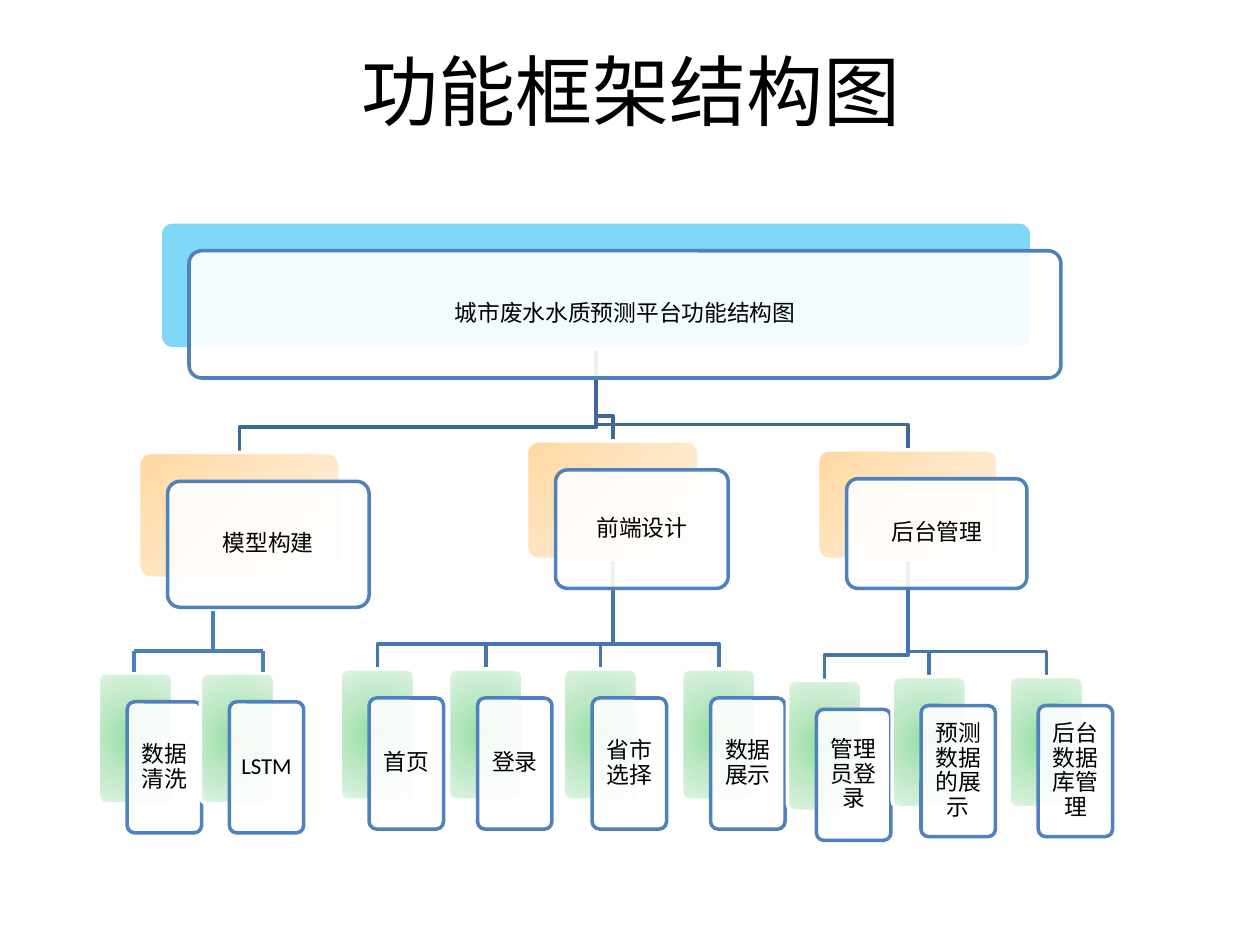
from lxml.etree import SubElement
from pptx import Presentation
from pptx.dml.color import RGBColor
from pptx.enum.shapes import MSO_CONNECTOR, MSO_SHAPE
from pptx.enum.text import MSO_ANCHOR, PP_ALIGN
from pptx.oxml import parse_xml
from pptx.oxml.ns import nsdecls, qn
from pptx.util import Inches, Pt

COLORS = {
    "text": "000000", "white": "FFFFFF", "root": "00B0F0", "border": "4F81BD",
    "root_link": "3F6797", "leaf_link": "4875AC", "model_link": "4B7EBC",
}
GRADIENTS = {
    "branch": (("FFD8A0", "FFE6C5", "FFF2E3"), '<a:lin ang="2700000" scaled="0"/>'),
    "leaf": (("91DEA0", "BDE8C5", "DFF3E3"),
             '<a:path path="circle"><a:fillToRect l="50000" t="50000" '
             'r="50000" b="50000"/></a:path>'),
}
SHIFT = 0.23
LEAF_W, LEAF_H = 0.59, 1.04
ROOT = ("城市废水水质预测平台功能结构图", (1.27, 1.76, 6.92, 1.01))
BRANCHES = [
    ("前端设计", (4.18, 3.5, 1.37, 0.94),
     [("首页", 2.7, 5.31), ("登录", 3.56, 5.31),
      ("省市选择", 4.47, 5.31), ("数据展示", 5.41, 5.31)]),
    ("模型构建", (1.1, 3.59, 1.6, 1.0),
     [("数据清洗", 0.78, 5.34), ("LSTM", 1.59, 5.34)]),
    ("后台管理", (6.49, 3.57, 1.43, 0.87),
     [("管理员登录", 6.25, 5.4), ("预测数据的展示", 7.08, 5.37),
      ("后台数据库管理", 8.01, 5.37)]),
]


def rgb(name):
    """Return the named colour."""
    return RGBColor.from_string(COLORS[name])


def write(tf, text, size=13, spacing=None, font="Calibri"):
    """Write one centred paragraph into a text frame."""
    tf.word_wrap = True
    tf.vertical_anchor = MSO_ANCHOR.MIDDLE
    p = tf.paragraphs[0]
    p.alignment = PP_ALIGN.CENTER
    if spacing:
        p.line_spacing = spacing
    r = p.add_run()
    r.text = text
    r.font.size = Pt(size)
    r.font.name = font
    r.font.color.rgb = rgb("text")


def fill_solid(s, color, alpha):
    """Fill a shape with a colour of the given opacity in percent."""
    s.fill.solid()
    s.fill.fore_color.rgb = rgb(color)
    clr = s.fill._xPr.find(qn("a:solidFill"))[0]
    SubElement(clr, qn("a:alpha"), val=str(alpha * 1000))


def fill_gradient(s, level):
    """Fill a shape with the gradient of its level."""
    colors, direction = GRADIENTS[level]
    stops = "".join(
        f'<a:gs pos="{i * 50000}"><a:srgbClr val="{c}"/></a:gs>'
        for i, c in enumerate(colors))
    s.fill.solid()
    sp_pr = s.element.spPr
    sp_pr.replace(sp_pr.find(qn("a:solidFill")), parse_xml(
        f'<a:gradFill {nsdecls("a")} rotWithShape="1">'
        f'<a:gsLst>{stops}</a:gsLst>{direction}</a:gradFill>'))


def add_card(shapes, box, border):
    """Add a rounded rectangle with a border."""
    s = shapes.add_shape(MSO_SHAPE.ROUNDED_RECTANGLE, *map(Inches, box))
    s.adjustments[0] = 0.1
    s.shadow.inherit = False
    s.line.color.rgb = rgb(border)
    s.line.width = Pt(2)
    return s


def add_node(shapes, box, label, level):
    """Add a coloured back card and a shifted, labelled front card."""
    x, y, w, h = box
    back = add_card(shapes, box, "white")
    if level == "root":
        fill_solid(back, "root", 50)
    else:
        fill_gradient(back, level)
    front = add_card(shapes, (x + SHIFT, y + SHIFT, w, h), "border")
    fill_solid(front, "white", 90)
    tf = front.text_frame
    tf.margin_left = tf.margin_right = Inches(0.06)
    tf.margin_top = tf.margin_bottom = Inches(0.06)
    write(tf, label, spacing=0.9)


def add_elbow(shapes, parent, child, color):
    """Link the bottom of a parent box to the top of a child box."""
    x1, y1 = parent[0] + parent[2] / 2, parent[1] + parent[3]
    x2, y2 = child[0] + child[2] / 2, child[1]
    bend = y2 - 0.2
    points = [(Inches(x), Inches(y)) for x, y in ((x1, bend), (x2, bend), (x2, y2))]
    builder = shapes.build_freeform(Inches(x1), Inches(y1))
    builder.add_line_segments(points, close=False)
    s = builder.convert_to_shape()
    s.fill.background()
    s.shadow.inherit = False
    s.line.color.rgb = rgb(color)
    s.line.width = Pt(2)


def add_line(shapes, x1, y1, x2, y2):
    """Add a straight link line."""
    c = shapes.add_connector(MSO_CONNECTOR.STRAIGHT, *map(Inches, (x1, y1, x2, y2)))
    c.line.color.rgb = rgb("model_link")
    c.line.width = Pt(2.25)
    SubElement(c.element.spPr, qn("a:effectLst"))


def add_title(slide, text, box):
    """Place and fill the title placeholder."""
    title = slide.shapes.title
    title.left, title.top, title.width, title.height = map(Inches, box)
    write(title.text_frame, text, size=44)


def add_tree(shapes, root, branches):
    """Add the links and then the nodes of the three-level tree."""
    label, root_box = root
    for name, box, leaves in branches:
        add_elbow(shapes, root_box, box, "root_link")
        if name != "模型构建":
            for _, x, y in leaves:
                add_elbow(shapes, box, (x, y, LEAF_W, LEAF_H), "leaf_link")
    add_node(shapes, root_box, label, "root")
    for name, box, leaves in branches:
        add_node(shapes, box, name, "branch")
        for leaf, x, y in leaves:
            add_node(shapes, (x, y, LEAF_W, LEAF_H), leaf, "leaf")


def add_model_bracket(shapes, box, stem_x):
    """Add a bracket with a stem that ends on its top edge."""
    x, y, w, h = box
    add_line(shapes, stem_x, y - 0.32, stem_x, y)
    add_line(shapes, x, y, x + w, y)
    for drop_x in (x, x + w):
        add_line(shapes, drop_x, y, drop_x, y + h)


def main():
    """Build and save the slide."""
    prs = Presentation()
    prs.slide_width, prs.slide_height = Inches(10), Inches(7.5)
    slide = prs.slides.add_slide(prs.slide_layouts[5])
    add_title(slide, "功能框架结构图", (0.51, 0.13, 9, 1.17))
    add_tree(slide.shapes.add_group_shape().shapes, ROOT, BRANCHES)
    add_model_bracket(slide.shapes, (1.06, 5.17, 1.03, 0.16), 1.69)
    prs.save("out.pptx")


if __name__ == "__main__":
    main()
